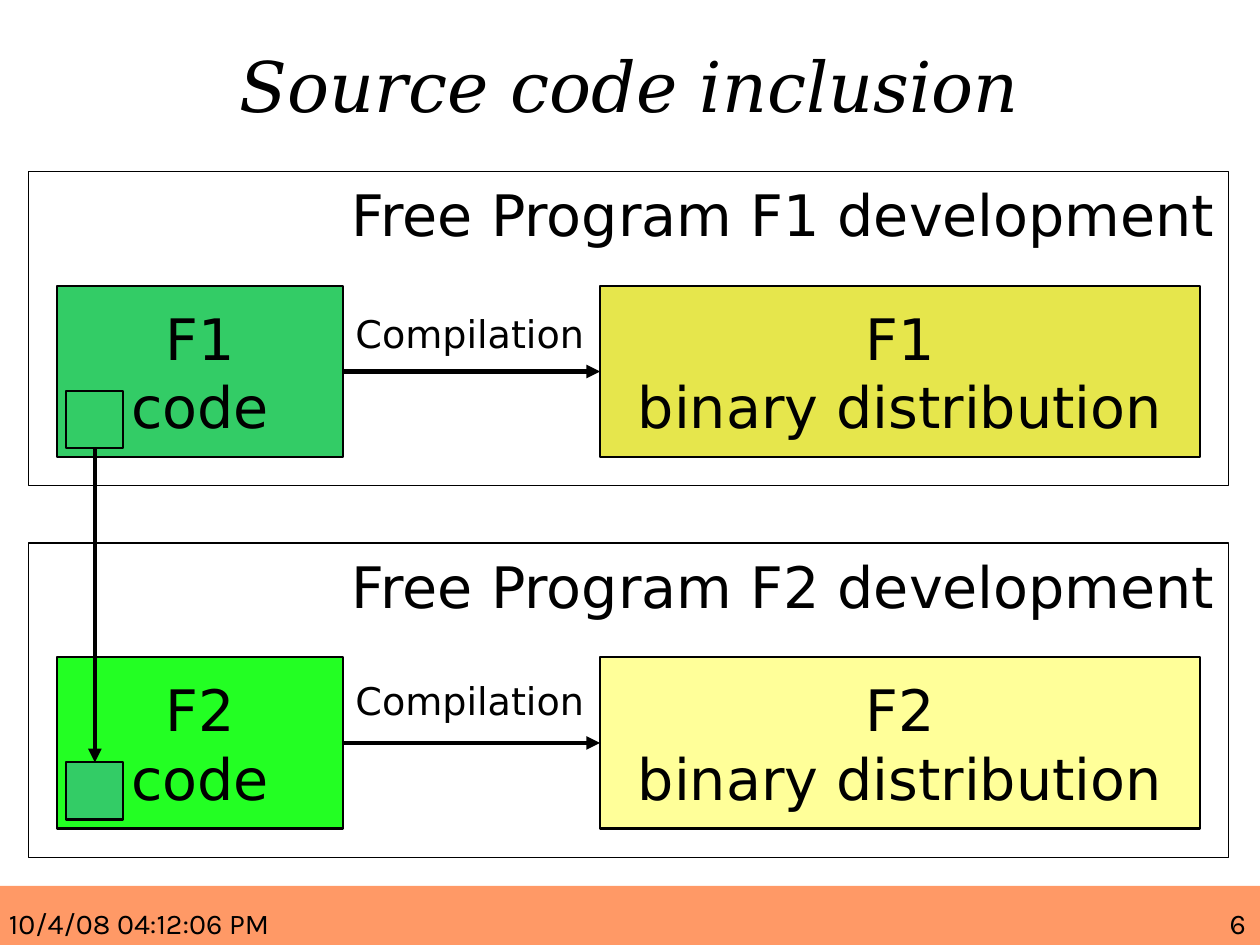
from pptx import Presentation
from pptx import util as u
from pptx.dml.color import RGBColor
from pptx.enum import shapes, text
from pptx.oxml.ns import qn
from lxml import etree

COLORS = {
    "ink": "000000",
    "footer": "FF9966",
    "F1 code": "33CC66",
    "F2 code": "23FF23",
    "F1 binary": "E6E64C",
    "F2 binary": "FFFF99",
}
ALIGN = text.PP_ALIGN
ANCHOR = text.MSO_ANCHOR
# The page is 28 by 21 centimetres
PAGE_WIDTH, PAGE_HEIGHT = 28 / 2.54, 21 / 2.54


def write(shape, lines, size, align, anchor=ANCHOR.TOP, inset=(0.11, 0.06),
          font="DejaVu Sans", italic=False):
    """Fill a shape with one paragraph per line."""
    frame = shape.text_frame
    across, down = (u.Inches(v) for v in inset)
    layout = {"word_wrap": True, "vertical_anchor": anchor,
              "margin_left": across, "margin_right": across,
              "margin_top": down, "margin_bottom": down}
    for name, value in layout.items():
        setattr(frame, name, value)
    frame.text = "\n".join(lines)
    for paragraph in frame.paragraphs:
        paragraph.alignment = align
        for run in paragraph.runs:
            for name, value in {"name": font, "size": u.Pt(size), "italic": italic}.items():
                setattr(run.font, name, value)
            run.font.color.rgb = RGBColor.from_string(COLORS["ink"])


def rectangle(at, fill=None, line=None):
    shape = slide.shapes.add_shape(shapes.MSO_SHAPE.RECTANGLE, *map(u.Inches, at))
    shape.shadow.inherit = False
    if fill:
        shape.fill.solid()
        shape.fill.fore_color.rgb = RGBColor.from_string(COLORS[fill])
    else:
        shape.fill.background()
    if line is None:
        shape.line.fill.background()
    else:
        shape.line.color.rgb = RGBColor.from_string(COLORS["ink"])
        shape.line.width = u.Pt(line)
    return shape


deck = Presentation()
deck.slide_width, deck.slide_height = u.Inches(PAGE_WIDTH), u.Inches(PAGE_HEIGHT)
slide = deck.slides.add_slide(deck.slide_layouts[5])

# Footer band
rectangle((0, 7.75, PAGE_WIDTH, PAGE_HEIGHT - 7.75), "footer")
for label, left, width, align in [("6", 7.5, 3.5, ALIGN.RIGHT),
                                  ("10/4/08 04:12:06 PM", -0.02, 5.27, ALIGN.LEFT)]:
    footer = slide.shapes.add_textbox(*map(u.Inches, (left, 7.88, width, 0.39)))
    write(footer, [label], 18, align, inset=(0.1, 0.05), font="Karla")

title = slide.shapes.title
for name, value in {"left": 0, "top": 0.24, "width": PAGE_WIDTH, "height": 1}.items():
    setattr(title, name, u.Inches(value))
write(title, ["Source code inclusion"], 44, ALIGN.CENTER, ANCHOR.MIDDLE, (0, 0),
      "DejaVu Serif", True)

# One panel per program
arrows = []
included = []
for program, top, caption_top in [("F1", 1.5, 2.66), ("F2", 4.75, 5.87)]:
    rectangle((0.25, top, 10.5, 2.75), line=0)
    heading = slide.shapes.add_textbox(*map(u.Inches, (1.25, top, 9.5, 0.72)))
    write(heading, [f"Free Program {program} development"], 36, ALIGN.RIGHT, inset=(0.12, 0.07))

    code = rectangle((0.5, top + 1, 2.5, 1.5), f"{program} code", 1.45)
    write(code, [program, "code"], 36, ALIGN.CENTER, ANCHOR.MIDDLE)
    binary = rectangle((5.25, top + 1, 5.25, 1.5), f"{program} binary", 1.45)
    write(binary, [program, "binary distribution"], 36, ALIGN.CENTER, ANCHOR.MIDDLE)

    caption = slide.shapes.add_textbox(*map(u.Inches, (3, caption_top, 2.25, 0.51)))
    write(caption, ["Compilation"], 24, ALIGN.LEFT)
    included.append(rectangle((0.58, top + 1.92, 0.5, 0.5), "F1 code", 1.45))
    arrows.append((code, 3, binary, 1))

# Compilation arrows, then the inclusion of F1 code in F2
arrows.append((included[0], 2, included[1], 0))
for source, source_side, target, target_side in arrows:
    arrow = slide.shapes.add_connector(shapes.MSO_CONNECTOR.STRAIGHT, 0, 0, 0, 0)
    arrow.begin_connect(source, source_side)
    arrow.end_connect(target, target_side)
    arrow.line.color.rgb = RGBColor.from_string(COLORS["ink"])
    arrow.line.width = u.Pt(2.89)
    etree.SubElement(arrow.line._get_or_add_ln(), qn("a:tailEnd"), type="triangle")
    etree.SubElement(arrow._element.spPr, qn("a:effectLst"))

deck.save("out.pptx")
